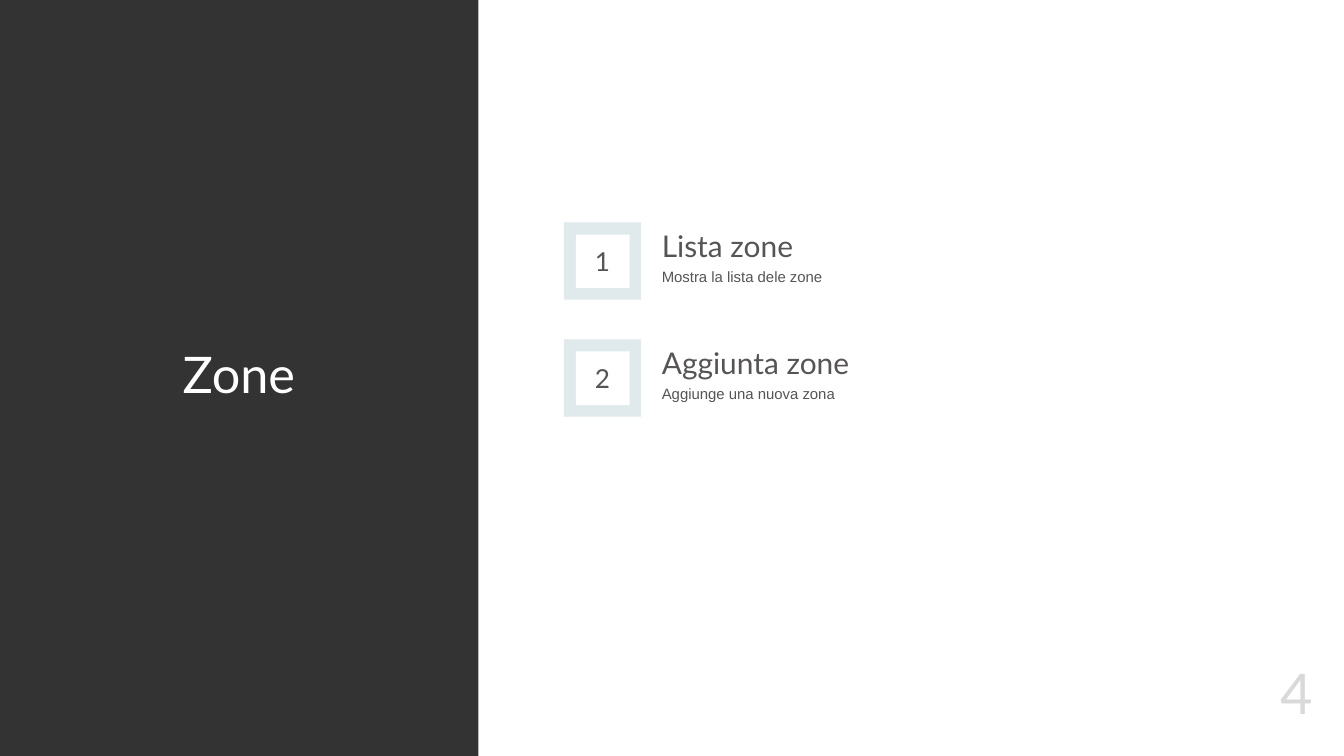
from pptx import Presentation
from pptx.dml.color import RGBColor
from pptx.enum.shapes import MSO_SHAPE
from pptx.enum.text import MSO_ANCHOR, PP_ALIGN
from pptx.util import Inches, Pt

RECT = MSO_SHAPE.RECTANGLE
TOP, MIDDLE, BOTTOM = MSO_ANCHOR.TOP, MSO_ANCHOR.MIDDLE, MSO_ANCHOR.BOTTOM
LEFT, CENTER, RIGHT = PP_ALIGN.LEFT, PP_ALIGN.CENTER, PP_ALIGN.RIGHT
JUSTIFY = PP_ALIGN.JUSTIFY

DARK = RGBColor(0x33, 0x33, 0x33)
PALE = RGBColor(0xE0, 0xE9, 0xEB)
WHITE = RGBColor(0xFF, 0xFF, 0xFF)
GREY = RGBColor(0x57, 0x54, 0x54)
LIGHT = RGBColor(0xD9, 0xD9, 0xD9)

ITEMS = [
    ("Lista zone", "Mostra la lista dele zone"),
    ("Aggiunta zone", "Aggiunge una nuova zona"),
]
FIRST_TOP = 3.31
ROW_STEP = 1.74


def add_rect(slide, left, top, width, height, color):
    rect = slide.shapes.add_shape(
        RECT, Inches(left), Inches(top), Inches(width), Inches(height))
    rect.shadow.inherit = False
    rect.fill.solid()
    rect.fill.fore_color.rgb = color
    rect.line.fill.background()


def add_text(slide, left, top, width, height, text, size, color=GREY,
             font="Lato", align=LEFT, anchor=MIDDLE, spacing=1.0):
    box = slide.shapes.add_textbox(
        Inches(left), Inches(top), Inches(width), Inches(height))
    frame = box.text_frame
    frame.word_wrap = True
    frame.vertical_anchor = anchor
    para = frame.paragraphs[0]
    para.alignment = align
    para.line_spacing = spacing
    run = para.add_run()
    run.text = text
    run.font.size = Pt(size)
    run.font.name = font
    run.font.color.rgb = color


def add_item(slide, top, number, title, detail):
    """Add a framed number with a heading and a line of detail beside it."""
    add_rect(slide, 8.39, top, 1.15, 1.15, PALE)
    add_rect(slide, 8.57, top + 0.18, 0.8, 0.8, WHITE)
    add_text(slide, 8.57, top + 0.08, 0.79, 1, str(number), 28, align=CENTER)
    add_text(slide, 9.75, top + 0.62, 3.42, 0.37, detail, 16,
             font="Arial", align=JUSTIFY, anchor=TOP)
    add_text(slide, 9.75, top, 3.42, 0.66, title, 32, anchor=BOTTOM)


def main():
    deck = Presentation()
    deck.slide_width = Inches(20)
    deck.slide_height = Inches(11.25)
    slide = deck.slides.add_slide(deck.slide_layouts[6])

    add_rect(slide, 0, 0, 7.12, 11.25, DARK)
    add_text(slide, 0.64, 3.97, 5.83, 3.3, "Zone", 54, WHITE,
             align=CENTER, spacing=0.9)
    for index, (title, detail) in enumerate(ITEMS):
        add_item(slide, FIRST_TOP + index * ROW_STEP, index + 1, title, detail)
    add_text(slide, 18.1, 9.7, 1.54, 1.2, "4", 60, LIGHT, align=RIGHT)

    deck.save("out.pptx")


if __name__ == "__main__":
    main()
